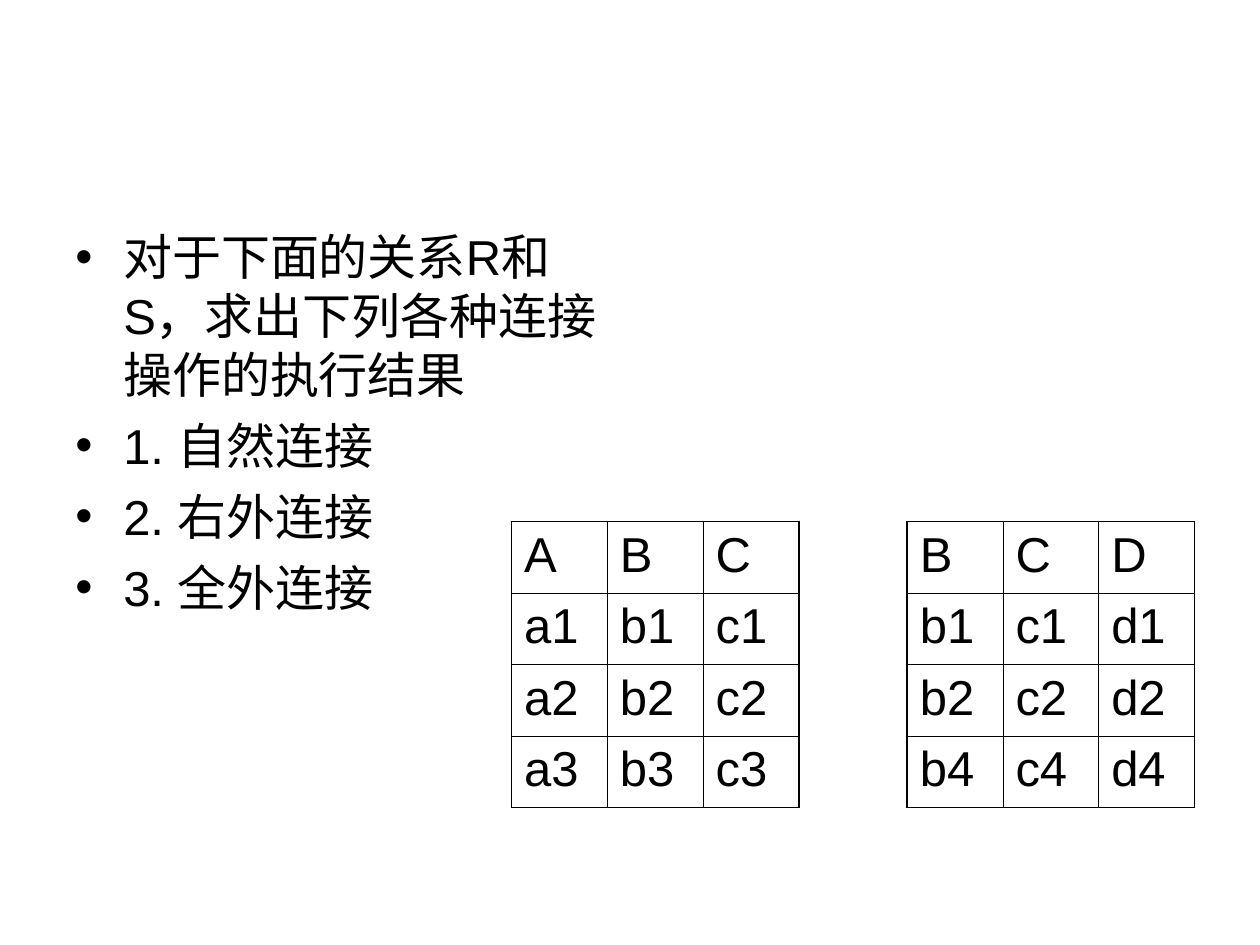
from lxml.etree import SubElement
from pptx import Presentation
from pptx.dml.color import RGBColor
from pptx.oxml import parse_xml
from pptx.oxml.ns import nsdecls, qn
from pptx.util import Inches, Pt

COLORS = {"ink": "000000"}
FONT = "Arial"
INNER, OUTER = Pt(0.45), Pt(1.08)
TASKS = [
    "对于下面的关系R和S，求出下列各种连接操作的执行结果",
    "1. 自然连接",
    "2. 右外连接",
    "3. 全外连接",
]
RELATION_R = ["A B C", "a1 b1 c1", "a2 b2 c2", "a3 b3 c3"]
RELATION_S = ["B C D", "b1 c1 d1", "b2 c2 d2", "b4 c4 d4"]


def style_runs(paragraph):
    """Give every run of a paragraph the slide's text style."""
    for run in paragraph.runs:
        run.font.name = FONT
        run.font.size = Pt(28)
        run.font.color.rgb = RGBColor.from_string(COLORS["ink"])


def add_tasks(slide, left, top, width, height, tasks):
    """Place the bulleted exercise list in the given box."""
    frame = slide.shapes.add_textbox(left, top, width, height).text_frame
    frame.word_wrap = True
    frame.text = "\n".join(tasks)
    for index, paragraph in enumerate(frame.paragraphs):
        if index:
            paragraph.space_before = Pt(7)
        properties = paragraph._p.get_or_add_pPr()
        properties.set("marL", str(Inches(0.38)))
        properties.set("indent", str(-Inches(0.38)))
        SubElement(properties, qn("a:buFont"), typeface=FONT)
        SubElement(properties, qn("a:buChar"), char="•")
        style_runs(paragraph)


def set_borders(cell, widths):
    """Draw the left, right, top and bottom borders of a cell."""
    properties = cell._tc.get_or_add_tcPr()
    for index, (side, width) in enumerate(zip("LRTB", widths)):
        properties.insert(index, parse_xml(
            f'<a:ln{side} {nsdecls("a")} w="{int(width)}"><a:solidFill>'
            f'<a:srgbClr val="{COLORS["ink"]}"/></a:solidFill></a:ln{side}>'))


def add_relation(slide, left, top, width, height, records):
    """Place a relation as a table with a heavier outer frame."""
    rows = [record.split() for record in records]
    last_row, last_column = len(rows) - 1, len(rows[0]) - 1
    table = slide.shapes.add_table(
        len(rows), len(rows[0]), left, top, width, height).table
    table.first_row = table.horz_banding = False
    for r, row in enumerate(rows):
        for c, value in enumerate(row):
            cell = table.cell(r, c)
            cell.text = value
            cell.fill.background()
            style_runs(cell.text_frame.paragraphs[0])
            edges = (c == 0, c == last_column, r == 0, r == last_row)
            set_borders(cell, [OUTER if edge else INNER for edge in edges])


def main():
    """Build the join exercise slide."""
    deck = Presentation()
    deck.slide_width, deck.slide_height = Inches(10), Inches(7.5)
    slide = deck.slides.add_slide(deck.slide_layouts[6])
    add_tasks(slide, Inches(0.5), Inches(1.75), Inches(4.42), Inches(4.95), TASKS)
    for left, relation in ((4.06, RELATION_R), (7.2, RELATION_S)):
        add_relation(slide, Inches(left), Inches(4.14),
                     Inches(2.28), Inches(2.27), relation)
    deck.save("out.pptx")


if __name__ == "__main__":
    main()
